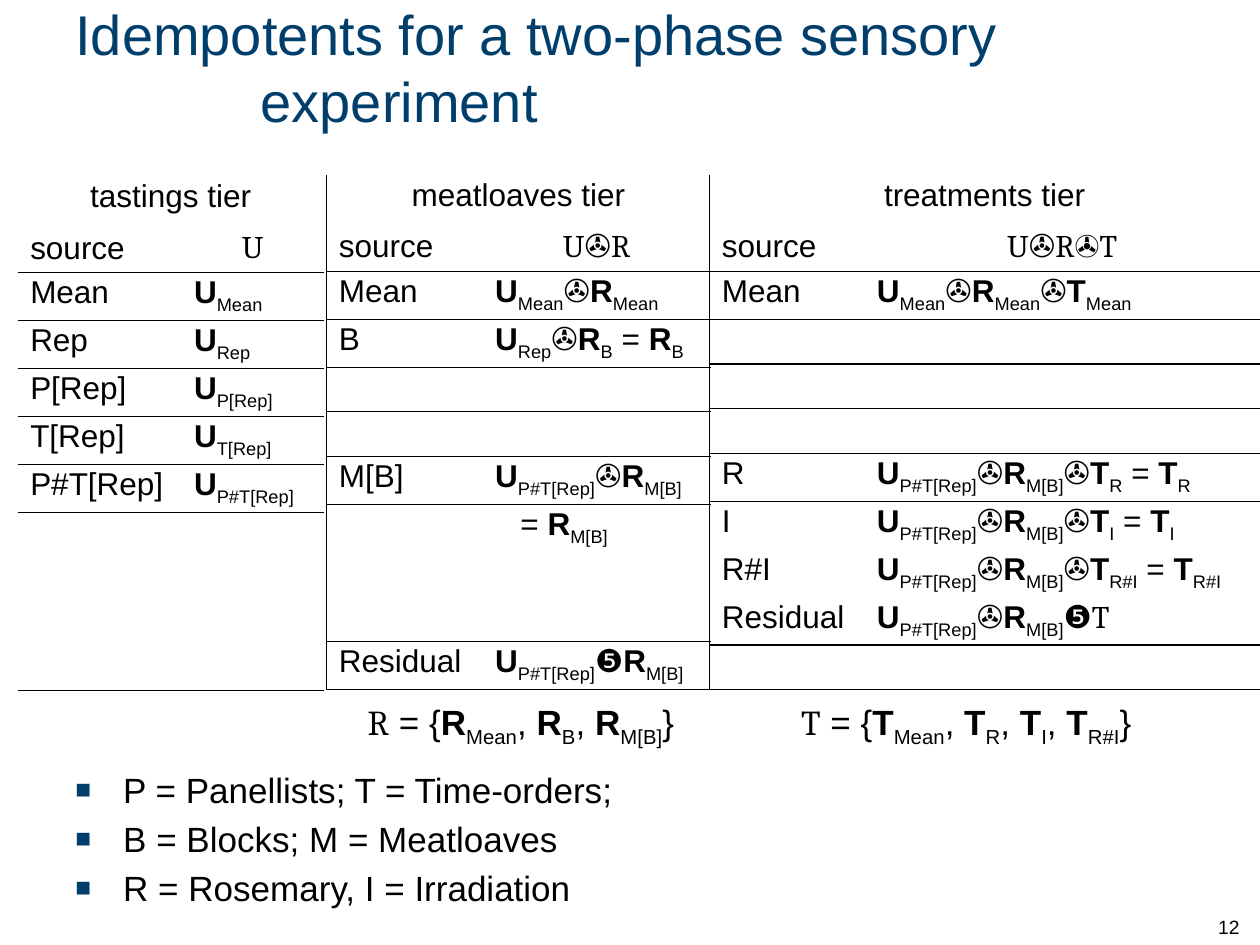
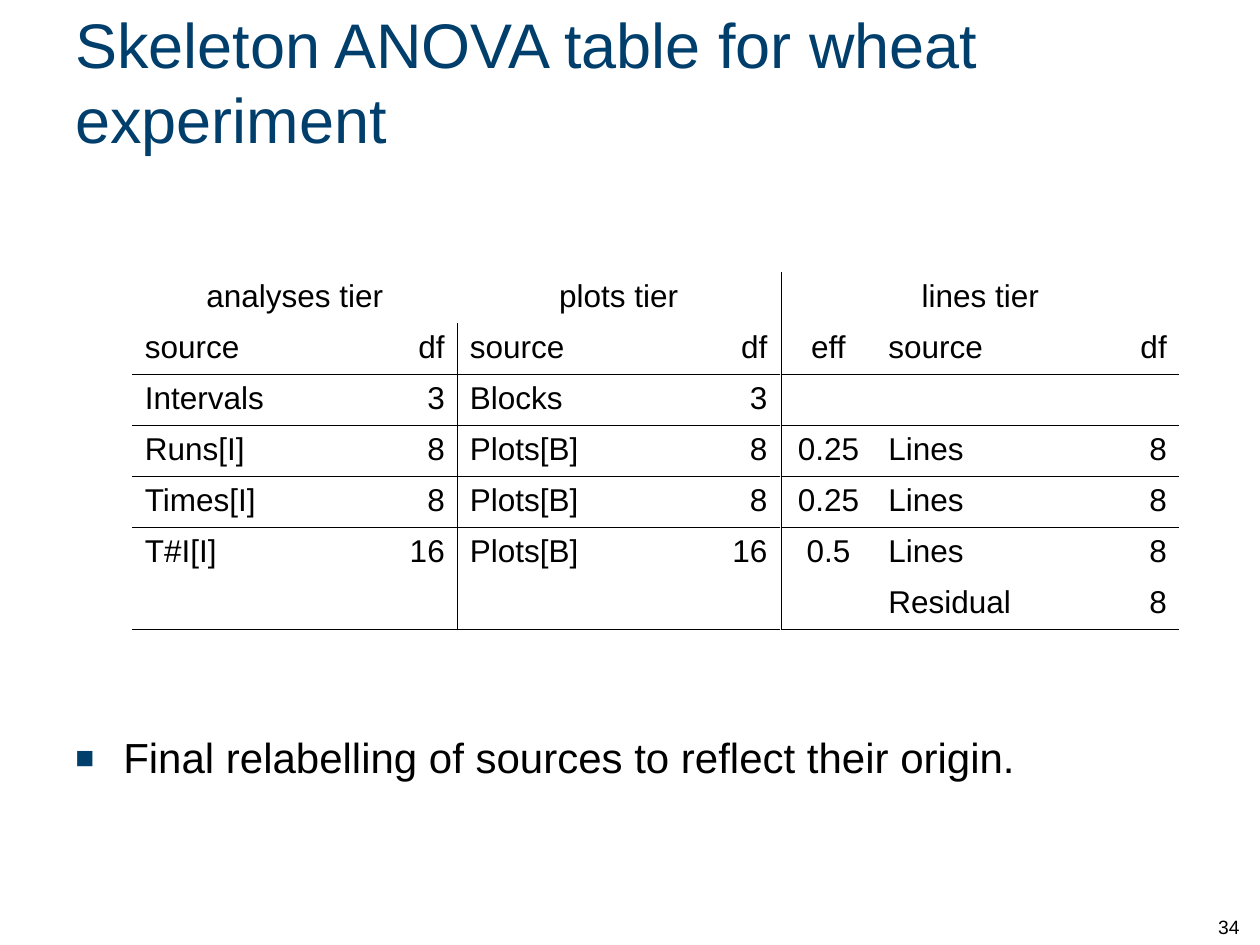
"""Builds two slides of tiered source tables with a shared deck style."""
import pptx
import pptx.util
import pptx.dml.color
import pptx.enum.text
import lxml.etree

COLORS = {"title": "003E6C", "text": "000000", "bullet": "003E6C", "rule": "000000"}
FONTS = {"main": "Arial", "symbol": "Cambria"}
ALIGN = {
    "l": pptx.enum.text.PP_ALIGN.LEFT,
    "c": pptx.enum.text.PP_ALIGN.CENTER,
    "r": pptx.enum.text.PP_ALIGN.RIGHT,
}
ANCHOR = pptx.enum.text.MSO_ANCHOR
MARKS = {"*": "bold", "~": "subscript", "^": "symbol"}
NS = "http://schemas.openxmlformats.org/drawingml/2006/main"
RULE_POINTS = 0.75
HANG = 3.8
STAR, FIVE = "\u2707", "\u277a"


def apply(target, values):
    for name, value in values.items():
        setattr(target, name, value)


def add_xml(parent, tag, **attributes):
    return lxml.etree.SubElement(parent, f"{{{NS}}}{tag}", attributes)


def split_markup(markup):
    active, piece = set(), ""
    for char in markup:
        if char in MARKS:
            if piece:
                yield piece, set(active)
            active ^= {MARKS[char]}
            piece = ""
        else:
            piece += char
    if piece:
        yield piece, active


def term(letter, source):
    return f"*{letter}*~{source}~"


def product(*terms):
    return STAR.join(terms)


def family(letter, sources):
    return f"^{letter}^ = {{" + ", ".join(term(letter, s) for s in sources) + "}"


class Deck:
    """Holds the style, the grid and the current slide."""

    COLUMNS, ROWS = 100, 75

    def __init__(self):
        self.show = pptx.Presentation()
        apply(self.show, {"slide_width": pptx.util.Inches(10),
                          "slide_height": pptx.util.Inches(7.5)})
        self.slide = None

    def x(self, columns):
        return round(self.show.slide_width * columns / self.COLUMNS)

    def y(self, rows):
        return round(self.show.slide_height * rows / self.ROWS)

    def box(self, left, top, width, height):
        return self.x(left), self.y(top), self.x(width), self.y(height)

    def new_slide(self, number):
        self.slide = self.show.slides.add_slide(self.show.slide_layouts[6])
        self.text((95.7, 70, 4.2, 5), [str(number)], 11, anchor=ANCHOR.BOTTOM)

    def add_runs(self, paragraph, markup, size, color="text"):
        for piece, marks in split_markup(markup):
            run = paragraph.add_run()
            run.text = piece
            apply(run.font, {
                "name": FONTS["symbol" if "symbol" in marks else "main"],
                "size": pptx.util.Pt(size),
                "bold": "bold" in marks,
            })
            run.font.color.rgb = pptx.dml.color.RGBColor.from_string(COLORS[color])
            if "subscript" in marks:
                run._r.get_or_add_rPr().set("baseline", "-25000")

    def indent(self, paragraph, columns, hanging=True):
        properties = paragraph._p.get_or_add_pPr()
        properties.set("marL", str(self.x(columns)))
        properties.set("indent", str(-self.x(columns) if hanging else 0))

    def text(self, place, lines, size, color="text", anchor=ANCHOR.TOP, hang=0, before=0):
        frame = self.slide.shapes.add_textbox(*self.box(*place)).text_frame
        apply(frame, {"word_wrap": True, "vertical_anchor": anchor})
        for index, line in enumerate(lines):
            paragraph = frame.add_paragraph() if index else frame.paragraphs[0]
            paragraph.space_before = pptx.util.Pt(before)
            self.indent(paragraph, hang)
            self.add_runs(paragraph, line, size, color)
        return frame

    def title(self, place, wording, size, hang=0):
        self.text(place, [wording], size, "title", ANCHOR.MIDDLE, hang)

    def formula(self, place, markup):
        self.text(place, [markup], 20, hang=HANG, before=4)

    def bullets(self, place, lines, size):
        frame = self.text(place, lines, size, hang=HANG, before=size * 0.2)
        for paragraph in frame.paragraphs:
            properties = paragraph._p.get_or_add_pPr()
            tint = add_xml(properties, "buClr")
            add_xml(tint, "srgbClr", val=COLORS["bullet"])
            add_xml(properties, "buSzPct", val="75000")
            add_xml(properties, "buFont", typeface=FONTS["main"])
            add_xml(properties, "buChar", char="\u25a0")

    def borders(self, cell, sides):
        properties = cell._tc.get_or_add_tcPr()
        for side in "LRTB":
            edge = add_xml(properties, f"ln{side}", w=str(pptx.util.Pt(RULE_POINTS)))
            if side in sides:
                add_xml(add_xml(edge, "solidFill"), "srgbClr", val=COLORS["rule"])
            else:
                add_xml(edge, "noFill")
        cell.fill.background()

    def tier(self, left, top, widths, height, heading, labels, body, rules,
             edge="", aligns="ll", label_aligns=None, head=None, inset=0.5):
        rows = [[heading], labels] + body
        place = self.box(left, top, sum(widths), height)
        table = self.slide.shapes.add_table(len(rows), len(widths), *place).table
        apply(table, {"first_row": False, "horz_banding": False})
        for column, width in zip(table.columns, widths):
            column.width = self.x(width)
        head = head or height / len(rows)
        for r, row in enumerate(table.rows):
            row.height = self.y(head if r == 0 else (height - head) / (len(rows) - 1))
        table.cell(0, 0).merge(table.cell(0, len(widths) - 1))
        row_aligns = {0: "c" * len(widths), 1: label_aligns or aligns}
        for r, entries in enumerate(rows):
            for c in range(len(widths)):
                cell = table.cell(r, c)
                apply(cell, {"margin_top": self.y(inset), "margin_bottom": self.y(inset),
                             "margin_left": self.x(1), "margin_right": self.x(1)})
                sides = ("T" if r - 1 in rules else "") + ("B" if r in rules else "")
                if (edge == "L" and c == 0) or (edge == "R" and c == len(widths) - 1):
                    sides += edge
                self.borders(cell, sides)
                if c < len(entries) and entries[c]:
                    paragraph = cell.text_frame.paragraphs[0]
                    paragraph.alignment = ALIGN[row_aligns.get(r, aligns)[c]]
                    if entries[c].startswith("="):
                        self.indent(paragraph, 2, hanging=False)
                    self.add_runs(paragraph, entries[c], 18)


deck = Deck()

deck.new_slide(12)
deck.title((5, 0.8, 90, 9), "Idempotents for a two-phase sensory experiment", 32, hang=14.7)

blank = []
interaction = term("U", "P#T[Rep]")
loaf = term("R", "M[B]")
loaf_product = product(interaction, loaf)
tastings = [[s, term("U", s)] for s in ("Mean", "Rep", "P[Rep]", "T[Rep]", "P#T[Rep]")]
meatloaves = [
    ["Mean", product(term("U", "Mean"), term("R", "Mean"))],
    ["B", product(term("U", "Rep"), term("R", "B")) + " = " + term("R", "B")],
    blank, blank,
    ["M[B]", loaf_product],
    ["", "= " + loaf],
    blank, blank,
    ["Residual", interaction + FIVE + loaf],
]
treatments = [
    ["Mean", product(*(term(letter, "Mean") for letter in "URT"))],
    blank, blank, blank,
    *([s, product(loaf_product, term("T", s)) + " = " + term("T", s)]
      for s in ("R", "I", "R#I")),
    ["Residual", loaf_product + FIVE + "^T^"],
    blank,
]
sensory = {"height": 39.5, "head": 4.1, "inset": 0.2, "label_aligns": "lc"}
upper_rules = {1, 2, 3, 4, 5, 6}
deck.tier(1.4, 14, (13, 11.3), heading="tastings tier", labels=["source", "^U^"],
          body=tastings + [blank] * 4, rules=upper_rules | {10}, **sensory)
deck.tier(25.9, 13.9, (12.4, 18.1), heading="meatloaves tier",
          labels=["source", f"^U^{STAR}^R^"], body=meatloaves,
          rules=upper_rules | {9, 10}, edge="L", **sensory)
deck.tier(56.3, 13.9, (12.3, 31.4), heading="treatments tier",
          labels=["source", f"^U^{STAR}^R{STAR}T^"], body=treatments,
          rules=upper_rules | {9, 10}, edge="L", **sensory)

deck.bullets((5, 60.5, 57, 12.4), ["P = Panellists; T = Time-orders;",
                                   "B = Blocks; M = Meatloaves",
                                   "R = Rosemary, I = Irradiation"], 20)
deck.formula((28.2, 55.1, 28.6, 4.5), family("R", ("Mean", "B", "M[B]")))
deck.formula((62.6, 55.1, 30.8, 4.5), family("T", ("Mean", "R", "I", "R#I")))

deck.new_slide(34)
deck.title((5, 1.3, 90, 10.2), "Skeleton ANOVA table for wheat experiment", 36)
deck.bullets((5, 57.6, 92.5, 14.4),
             ["Final relabelling of sources to reflect their origin."], 24)

wheat = {"top": 21.6, "height": 28.4, "rules": {1, 2, 3, 4, 6}}
deck.tier(10.5, widths=(20.1, 5.7), heading="analyses tier", labels=["source", "df"],
          body=[["Intervals", "3"], ["Runs[I]", "8"], ["Times[I]", "8"],
                ["T#I[I]", "16"], blank],
          edge="R", aligns="lr", **wheat)
deck.tier(62, widths=(7.5, 17.5, 6.6), heading="lines tier", labels=["eff", "source", "df"],
          body=[blank, *([eff, "Lines", "8"] for eff in ("0.25", "0.25", "0.5")),
                ["", "Residual", "8"]],
          edge="L", aligns="clr", **wheat)
deck.tier(36.3, widths=(20, 5.6), heading="plots tier", labels=["source", "df"],
          body=[["Blocks", "3"], *(["Plots[B]", df] for df in ("8", "8", "16")), blank],
          aligns="lr", **wheat)

deck.show.save("out.pptx")
